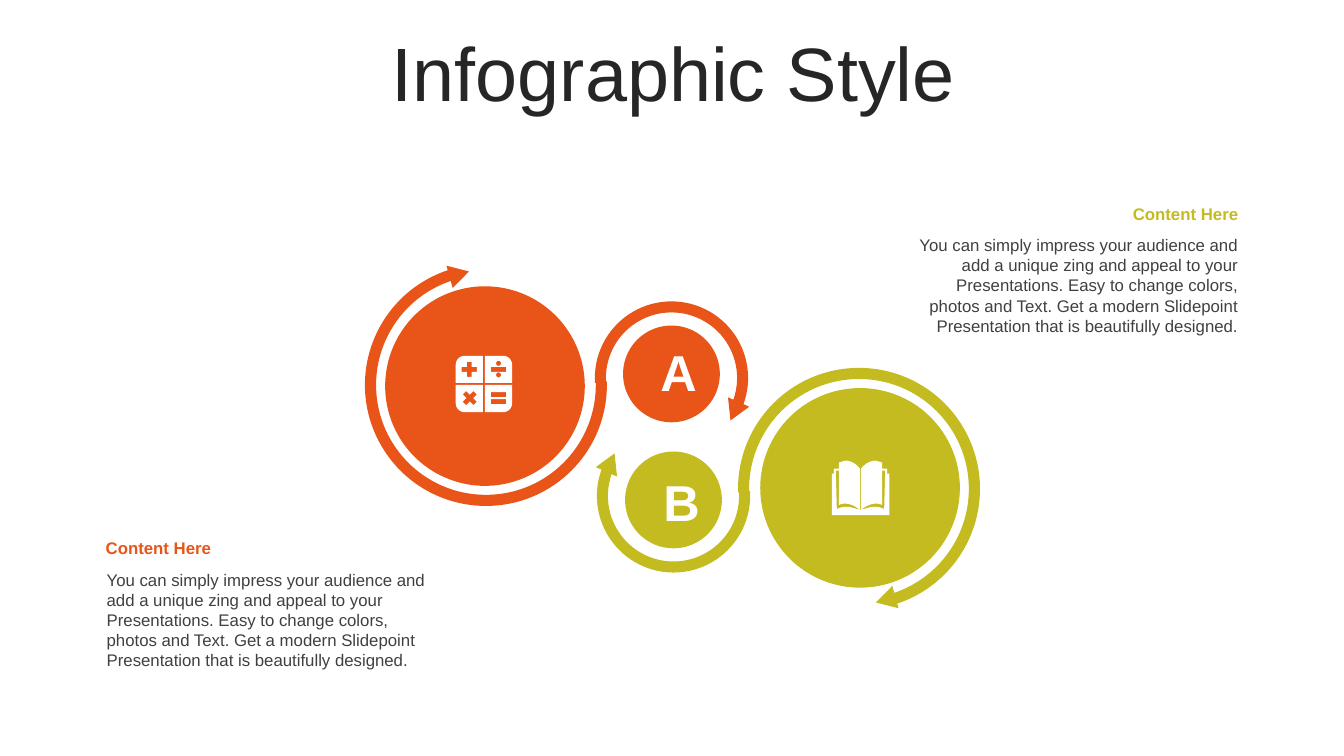
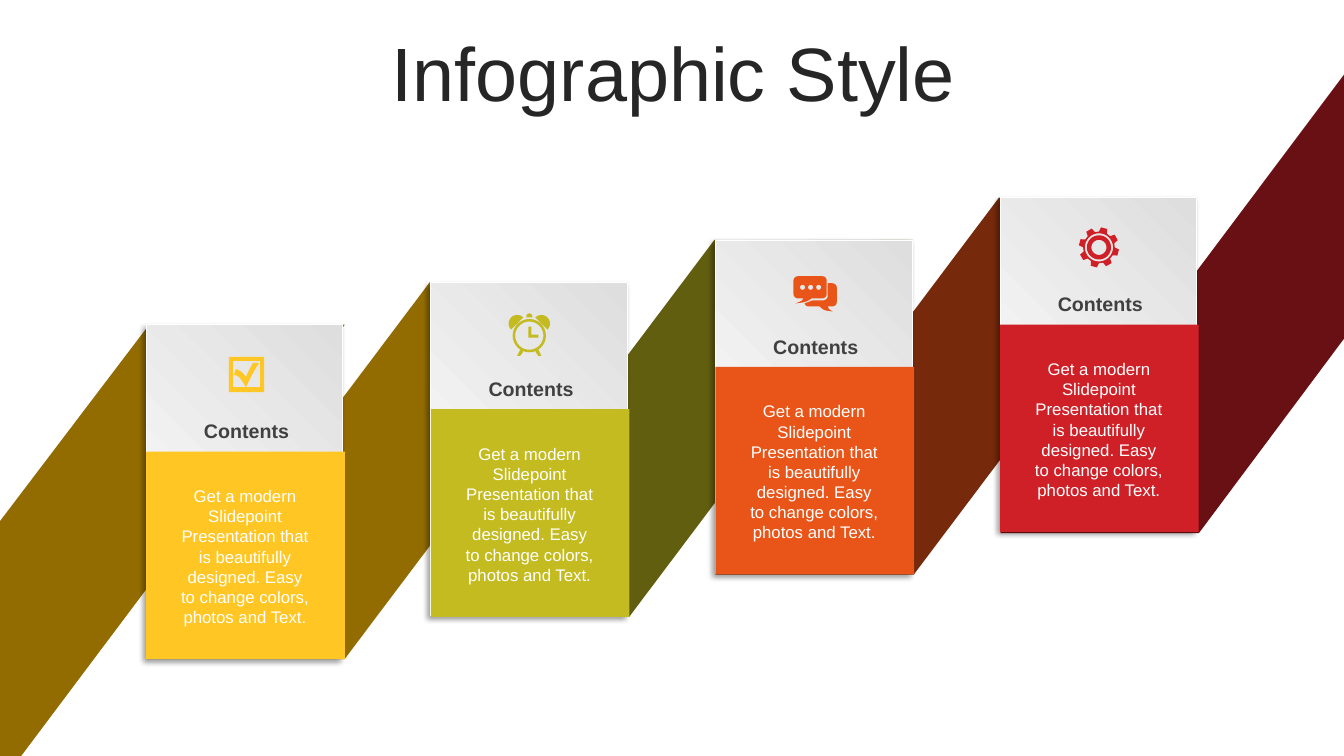
import math
from itertools import product

import pptx
import pptx.util
import pptx.dml.color
import pptx.enum.shapes
import pptx.enum.text
from lxml import etree
from pptx.oxml.ns import qn

Inches = pptx.util.Inches
SHAPE = pptx.enum.shapes.MSO_SHAPE
ALIGN = pptx.enum.text.PP_ALIGN
ANCHOR = pptx.enum.text.MSO_ANCHOR

FONT = "Arial"
WHITE, INK, GRAY, PALE = "FFFFFF", "262626", "404040", "DEDEDE"
ORANGE, LIME, GOLD, RED = "E95519", "C4BB20", "FFC624", "D02027"
BROWN, OLIVE, RUST, WINE = "926C00", "625E10", "762A0B", "681013"

TITLE = "Infographic Style"
HEAD = "Content Here"
BODY = ("You can simply impress your audience and add a unique zing and appeal "
        "to your Presentations. Easy to change colors, photos and Text. Get a "
        "modern Slidepoint Presentation that is beautifully designed.")
NOTES = [(0.95, 5.29, ORANGE, ALIGN.LEFT), (8.97, 1.97, LIME, ALIGN.RIGHT)]

# The lime half is the orange half given a half turn about HUB.
HUB = (6.67, 4.335)
HALVES = [(ORANGE, 0), (LIME, 180)]
RINGS = [  # centre x, centre y, diameter, start, end, thickness
    (4.82, 3.82, 2.4, 358.3, 252.8, 0.046),
    (6.66, 3.75, 1.52, 176.4, 20.4, 0.072),
]
DISCS = [(4.81, 3.83, 1.98), (6.66, 3.71, 0.96)]
TIPS = [(4.555, 2.72, 74.4), (7.285, 4.08, 203.8)]
LETTERS = [("A", 6.43, 3.33), ("B", 6.46, 4.62)]

LABEL = "Contents"
CARD = ("Get a modern Slidepoint Presentation that is beautifully designed. "
        "Easy to change colors, photos and Text.")
CARDS = [GOLD, LIME, ORANGE, RED]
BANDS = [BROWN, OLIVE, RUST]
LEFT_END = [(0, 5.17), (1.48, 3.22), (3.42, 3.22), (0.21, 7.5), (0, 7.5)]
RIGHT_END = [(13.33, 0.74), (13.33, 3.36), (11.89, 5.29), (9.92, 5.29)]


def color(code):
    return pptx.dml.color.RGBColor.from_string(code)


def paint(shape, code):
    shape.shadow.inherit = False
    shape.fill.solid()
    shape.fill.fore_color.rgb = color(code)
    shape.line.fill.background()
    return shape


def add(slide, kind, x, y, w, h, code, turn=0, adjust=()):
    shape = slide.shapes.add_shape(kind, Inches(x), Inches(y), Inches(w), Inches(h))
    for i, value in enumerate(adjust):
        shape.adjustments[i] = value
    shape.rotation = turn
    return paint(shape, code)


def write(slide, text, x, y, w, h, size=12, code=GRAY, bold=False,
          align=ALIGN.LEFT, anchor=ANCHOR.TOP, spacing=None):
    box = slide.shapes.add_textbox(Inches(x), Inches(y), Inches(w), Inches(h))
    frame = box.text_frame
    frame.word_wrap = True
    frame.vertical_anchor = anchor
    para = frame.paragraphs[0]
    para.text = text
    para.alignment = align
    para.line_spacing = spacing
    font = para.font
    font.name, font.size, font.bold = FONT, pptx.util.Pt(size), bold
    font.color.rgb = color(code)


def draw(slide, code, *loops):
    """Fill closed outlines as one shape; a loop inside another is a hole."""
    loops = [[(Inches(x), Inches(y)) for x, y in loop] for loop in loops]
    pen = slide.shapes.build_freeform(*loops[0][0], scale=1.0)
    for i, loop in enumerate(loops):
        if i:
            pen.move_to(*loop[0])
        pen.add_line_segments(loop[1:], close=True)
    paint(pen.convert_to_shape(), code)


def polar(x, y, r, angle):
    turn = math.radians(angle)
    return x + r * math.cos(turn), y + r * math.sin(turn)


def arc(x, y, r, start=0, end=360, steps=32):
    return [polar(x, y, r, start + (end - start) * i / steps)
            for i in range(steps + 1)]


def bend(a, b, c, d, steps=10):
    """Points on the cubic curve from a to d."""
    spots = []
    for i in range(steps + 1):
        t = i / steps
        mix = ((1 - t) ** 3, 3 * t * (1 - t) ** 2, 3 * t * t * (1 - t), t ** 3)
        spots.append(tuple(sum(m * p[k] for m, p in zip(mix, (a, b, c, d)))
                           for k in (0, 1)))
    return spots


def box(x, y, w, h, r=0):
    if not r:
        return [(x, y), (x + w, y), (x + w, y + h), (x, y + h)]
    ends = [(x + r, y + r), (x + w - r, y + r),
            (x + w - r, y + h - r), (x + r, y + h - r)]
    return [spot for i, (cx, cy) in enumerate(ends)
            for spot in arc(cx, cy, r, 180 + 90 * i, 270 + 90 * i, 8)]


def cross(x, y, turn):
    arm, half = 0.075, 0.024
    size = math.hypot(arm, half)
    lean = math.degrees(math.atan2(half, arm))
    loop = []
    for angle in range(turn, turn + 360, 90):
        loop += [polar(x, y, size, angle - lean), polar(x, y, size, angle + lean),
                 polar(x, y, half * math.sqrt(2), angle + 45)]
    return loop


def mirror(loop, x):
    return [(2 * x - a, b) for a, b in loop]


def pair(loop, x):
    return [loop, mirror(loop, x)]


def sums(slide, code):
    x, y = 4.8, 3.81
    tile = [(0.01, 0.01), (0.28, 0.01), *arc(0.19, 0.19, 0.09, 0, 90, 8), (0.01, 0.28)]
    tiles = [[(x + sx * a, y + sy * b) for a, b in tile]
             for sx, sy in product((-1, 1), repeat=2)]
    bars = [box(4.87, top, 0.15, 0.05) for top in (3.64, 3.89, 3.96)]
    dots = [arc(4.945, top, 0.025) for top in (3.605, 3.72)]
    draw(slide, code, *tiles, *bars, *dots, cross(4.655, 3.665, 0), cross(4.66, 3.95, 45))


def book(slide, code):
    mid = 8.535
    page = [*bend((8.54, 4.65), (8.58, 4.6), (8.62, 4.58), (8.67, 4.57)),
            *bend((8.67, 4.57), (8.69, 4.57), (8.72, 4.58), (8.75, 4.59)),
            (8.75, 4.65), (8.8, 4.65), (8.8, 4.7), (8.82, 4.7), (8.82, 5.11),
            (mid, 5.11), (mid, 5.06), (8.54, 5.06)]
    gap = [*bend((8.54, 5.06), (8.63, 5.03), (8.68, 5.01), (8.77, 5.05)),
           (8.78, 4.67), (8.75, 4.67),
           *bend((8.75, 5.01), (8.69, 4.98), (8.61, 5), (8.54, 5.06))]
    draw(slide, code, *pair(page, mid), *pair(gap, mid))


def check(slide, code):
    tick = [*bend((2.34, 3.66), (2.39, 3.68), (2.41, 3.7), (2.44, 3.74)),
            *bend((2.44, 3.74), (2.46, 3.69), (2.48, 3.65), (2.51, 3.6)),
            *bend((2.57, 3.6), (2.52, 3.67), (2.48, 3.76), (2.44, 3.84)),
            *bend((2.44, 3.84), (2.41, 3.8), (2.38, 3.72), (2.32, 3.72))]
    draw(slide, code, box(2.27, 3.54, 0.35, 0.35), box(2.31, 3.58, 0.27, 0.26), tick)


def clock(slide, code):
    x, y = 5.25, 3.33
    bell = arc(5.13, 3.21, 0.085, 135, 315)
    leg = [(5.16, 3.47), (5.19, 3.49), (5.16, 3.53), (5.13, 3.53)]
    knob = [*arc(x, 3.14, 0.03, 180, 360), (5.28, 3.15), (5.22, 3.15)]
    hands = [(5.24, 3.24), (5.27, 3.24), (5.27, 3.32), (5.34, 3.32),
             (5.34, 3.35), (5.24, 3.35)]
    draw(slide, code, arc(x, y, 0.165), arc(x, y, 0.14), hands, knob,
         *pair(bell, x), *pair(leg, x))


def chat(slide, code):
    tail = [(7.97, 2.96), *bend((7.97, 2.96), (7.95, 2.99), (7.94, 2.99), (7.89, 3.01)),
            *bend((7.89, 3.01), (7.97, 3), (8, 3), (8.05, 2.96))]
    back = [(8.21, 2.81), *arc(8.255, 2.855, 0.045, 270, 360, 8),
            *arc(8.255, 2.995, 0.045, 0, 90, 8), (8.21, 3.04),
            *bend((8.21, 3.04), (8.22, 3.06), (8.22, 3.07), (8.26, 3.09)),
            *bend((8.26, 3.09), (8.18, 3.08), (8.17, 3.08), (8.13, 3.04)),
            *bend((8.02, 3.04), (8, 3.04), (7.99, 3.03), (7.98, 3.01)),
            (8.06, 2.98), *arc(8.165, 2.935, 0.045, 90, 0, 8)]
    dots = [arc(7.96 + 0.08 * i, 2.85, 0.025) for i in range(3)]
    draw(slide, code, box(7.87, 2.74, 0.33, 0.22, 0.045), tail, back, *dots)


def gear(slide, code):
    x, y = 10.9, 2.455
    teeth = [polar(x, y, r, 15 + 45 * i + lean) for i in range(8)
             for r, lean in ((0.157, -15), (0.2, -9), (0.2, 9), (0.157, 15))]
    draw(slide, code, teeth, *[arc(x, y, r) for r in (0.14, 0.12, 0.075)])


def cast(shape):
    """Give a shape a soft shadow to the lower left."""
    shape.shadow.inherit = False
    effects = shape._element.spPr.find(qn("a:effectLst"))
    shade = etree.SubElement(effects, qn("a:outerShdw"), blurRad="50800",
                             dist="38100", dir="8100000", algn="tr", rotWithShape="0")
    tone = etree.SubElement(shade, qn("a:srgbClr"), val="000000")
    etree.SubElement(tone, qn("a:alpha"), val="40000")


def start(deck):
    slide = deck.slides.add_slide(deck.slide_layouts[6])
    write(slide, TITLE, 0.35, 0.37, 12.66, 0.79, size=54, code=INK,
          align=ALIGN.CENTER, anchor=ANCHOR.MIDDLE, spacing=0.9)
    return slide


def circles(deck):
    slide = start(deck)
    for x, y, code, align in NOTES:
        write(slide, BODY, x + 0.01, y + 0.31, 3.4, 1.11, align=align)
        write(slide, HEAD, x, y, 3.41, 0.3, code=code, bold=True, align=align)
    for code, turn in HALVES:
        def put(kind, x, y, w, h, **more):
            if turn:
                x, y = 2 * HUB[0] - x, 2 * HUB[1] - y
            add(slide, kind, x - w / 2, y - h / 2, w, h, code, **more)

        for x, y, d, first, last, thick in RINGS:
            # One degree is 0.6 of an adjustment unit.
            angles = [(a + turn) % 360 * 0.6 for a in (first, last)]
            put(SHAPE.BLOCK_ARC, x, y, d, d, adjust=(*angles, thick))
        for x, y, d in DISCS:
            put(SHAPE.OVAL, x, y, d, d)
        for x, y, angle in TIPS:
            put(SHAPE.ISOSCELES_TRIANGLE, x, y, 0.23, 0.2, turn=angle + turn)
    for text, x, y in LETTERS:
        write(slide, text, x, y, 0.6, 0.71, size=36, code=WHITE, bold=True,
              align=ALIGN.CENTER, anchor=ANCHOR.MIDDLE)
    sums(slide, WHITE)
    book(slide, WHITE)


def stairs(deck):
    slide = start(deck)
    steps = [(1.45 + 2.823 * i, 3.22 - 0.42 * i) for i in range(len(CARDS))]
    draw(slide, WINE, RIGHT_END)
    draw(slide, BROWN, LEFT_END)
    for (x, y), code in zip(steps, BANDS):
        add(slide, SHAPE.PARALLELOGRAM, x, y - 0.42, 4.78, 3.74, code, adjust=[0.752])
    for (x, y), code in zip(steps, CARDS):
        card = add(slide, SHAPE.RECTANGLE, x, y, 1.95, 3.31, WHITE)
        card.fill.gradient()
        card.fill.gradient_angle = 225
        for stop, tone in zip(card.fill.gradient_stops, (PALE, WHITE)):
            stop.color.rgb = color(tone)
        card.line.color.rgb = color(WHITE)
        card.line.width = pptx.util.Pt(0.5)
        cast(card)
        add(slide, SHAPE.RECTANGLE, x, y + 1.26, 1.97, 2.06, code)
        write(slide, LABEL, x + 0.24, y + 0.89, 1.51, 0.34, size=14, bold=True,
              align=ALIGN.CENTER)
        write(slide, CARD, x + 0.22, y + 1.55, 1.52, 1.51, code=WHITE,
              align=ALIGN.CENTER)
    for icon, code in zip((check, clock, chat, gear), CARDS):
        icon(slide, code)


def main():
    deck = pptx.Presentation()
    deck.slide_width, deck.slide_height = Inches(13.33), Inches(7.5)
    circles(deck)
    stairs(deck)
    deck.save("out.pptx")


if __name__ == "__main__":
    main()
